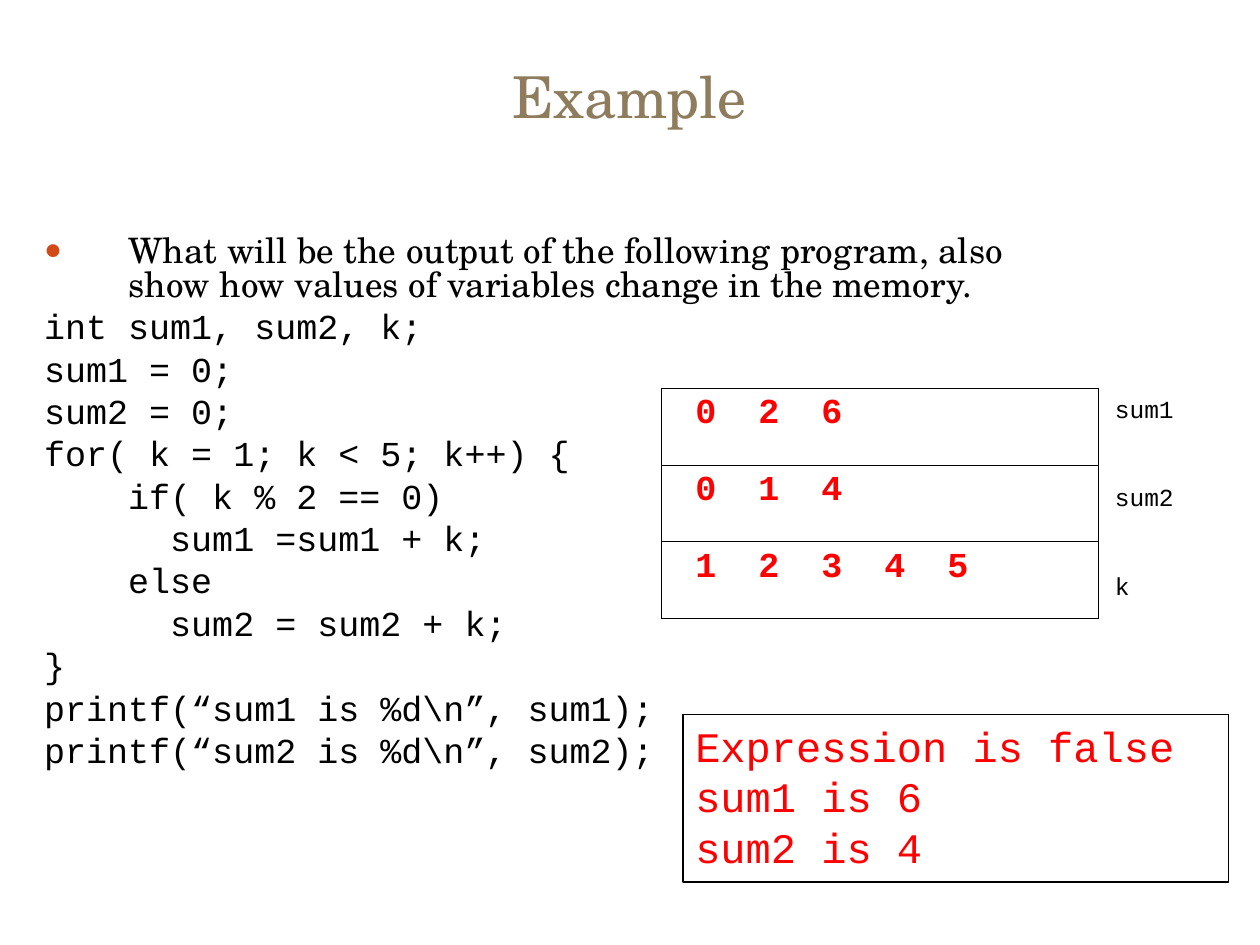
"""Build a slide tracing the variables of a small C loop."""
from dataclasses import dataclass

from lxml import etree
from pptx import Presentation, util as u
from pptx.dml.color import RGBColor
from pptx.enum import shapes, text
from pptx.oxml import parse_xml
from pptx.oxml.ns import nsdecls, qn


@dataclass(frozen=True)
class Theme:
    serif: str = "TeX Gyre Schola"
    mono: str = "Courier New"
    title: str = "8E7C5C"
    ink: str = "000000"
    paper: str = "FFFFFF"
    value: str = "FF0000"
    bullet: str = "D34817"
    title_size: int = 33
    body_size: int = 20
    label_size: int = 14
    output_size: int = 24


theme = Theme()


def write(tf, line, font=theme.mono, size=theme.body_size, color=theme.ink, bold=False,
          align=text.PP_ALIGN.LEFT, before=0, spacing=None, bullet=None, tabs=(), first=False):
    p = tf.paragraphs[0] if first else tf.add_paragraph()
    pPr = p._p.get_or_add_pPr()
    hang = u.Inches(0.67) if bullet else 0
    pPr.set("marL", str(hang))
    pPr.set("indent", str(-hang))
    if bullet:
        for tag in (f'<a:buClr {nsdecls("a")}><a:srgbClr val="{theme.bullet}"/></a:buClr>',
                    f'<a:buSzPct {nsdecls("a")} val="85000"/>',
                    f'<a:buChar {nsdecls("a")} char="{bullet}"/>'):
            pPr.append(parse_xml(tag))
    else:
        etree.SubElement(pPr, qn("a:buNone"))
    if tabs:
        stops = etree.SubElement(pPr, qn("a:tabLst"))
        for stop in tabs:
            etree.SubElement(stops, qn("a:tab"), pos=str(u.Inches(stop)), algn="l")
    p.alignment = align
    p.space_before = u.Pt(0 if first else before)
    if spacing:
        p.line_spacing = spacing
    r = p.add_run()
    r.text = line
    r.font.name, r.font.size, r.font.bold = font, u.Pt(size), bold
    r.font.color.rgb = RGBColor.from_string(color)


prs = Presentation()
prs.slide_width, prs.slide_height = u.Inches(10), u.Inches(7.5)
s = prs.slides.add_slide(prs.slide_layouts[1])

title = s.shapes.title
title.left, title.top = u.Inches(0.33), u.Inches(0.25)
title.width, title.height = u.Inches(9.33), u.Inches(0.83)
tf = title.text_frame
tf.auto_size = text.MSO_AUTO_SIZE.NONE
tf.vertical_anchor = text.MSO_ANCHOR.BOTTOM
write(tf, "Example", font=theme.serif, size=theme.title_size, color=theme.title,
      align=text.PP_ALIGN.CENTER, first=True)

body = s.placeholders[1]
body.left, body.top = u.Inches(0.25), u.Inches(1.83)
body.width, body.height = u.Inches(8.5), u.Inches(4.87)
tf = body.text_frame
tf.auto_size = text.MSO_AUTO_SIZE.NONE
write(tf, "What will be the output of the following program, also show how values of "
      "variables change in the memory.", font=theme.serif, spacing=0.8, bullet="●", first=True)
code = (
    "int sum1, sum2, k;",
    "sum1 = 0;",
    "sum2 = 0;",
    "for( k = 1; k < 5; k++) {",
    "    if( k % 2 == 0)",
    "      sum1 =sum1 + k;",
    "    else",
    "      sum2 = sum2 + k;",
    "}",
    "printf(“sum1 is %d\\n”, sum1);",
    "printf(“sum2 is %d\\n”, sum2);",
)
for line in code:
    write(tf, line, before=5, spacing=0.8)

memory = (
    ("0\t2\t6", (1, 2.33)),
    ("0\t1\t4", (0.5, 1.67)),
    ("1\t2\t3\t4\t5", (1, 1.67, 2.33, 2.67)),
)
table = s.shapes.add_table(len(memory), 1, u.Inches(5.25), u.Inches(3.08),
                           u.Inches(3.47), u.Inches(1.83)).table
table.first_row = table.horz_banding = False
for i, (values, tabs) in enumerate(memory):
    cell = table.cell(i, 0)
    cell.margin_left = u.Inches(0.27)
    tcPr = cell._tc.get_or_add_tcPr()
    for side in "LRTB":
        tcPr.append(parse_xml(
            f'<a:ln{side} {nsdecls("a")} w="{u.Pt(0.45)}"><a:solidFill>'
            f'<a:srgbClr val="{theme.ink}"/></a:solidFill></a:ln{side}>'))
    cell.fill.solid()
    cell.fill.fore_color.rgb = RGBColor.from_string(theme.paper)
    write(cell.text_frame, values, color=theme.value, bold=True, tabs=tabs, first=True)

labels = s.shapes.add_textbox(u.Inches(8.75), u.Inches(3.08), u.Inches(0.73), u.Inches(1.83))
tf = labels.text_frame
tf.word_wrap = True
for i, name in enumerate(("sum1", "sum2", "k")):
    write(tf, name, size=theme.label_size, before=33.6, first=i == 0)

output = s.shapes.add_shape(shapes.MSO_SHAPE.RECTANGLE, u.Inches(5.42), u.Inches(5.67),
                            u.Inches(4.33), u.Inches(1.33))
output.shadow.inherit = False
output.fill.solid()
output.fill.fore_color.rgb = RGBColor.from_string(theme.paper)
output.line.color.rgb = RGBColor.from_string(theme.ink)
output.line.width = u.Pt(0.75)
tf = output.text_frame
tf.word_wrap = True
tf.vertical_anchor = text.MSO_ANCHOR.TOP
for i, line in enumerate(("Expression is false", "sum1 is 6", "sum2 is 4")):
    write(tf, line, size=theme.output_size, color=theme.value, first=i == 0)

prs.save("out.pptx")
